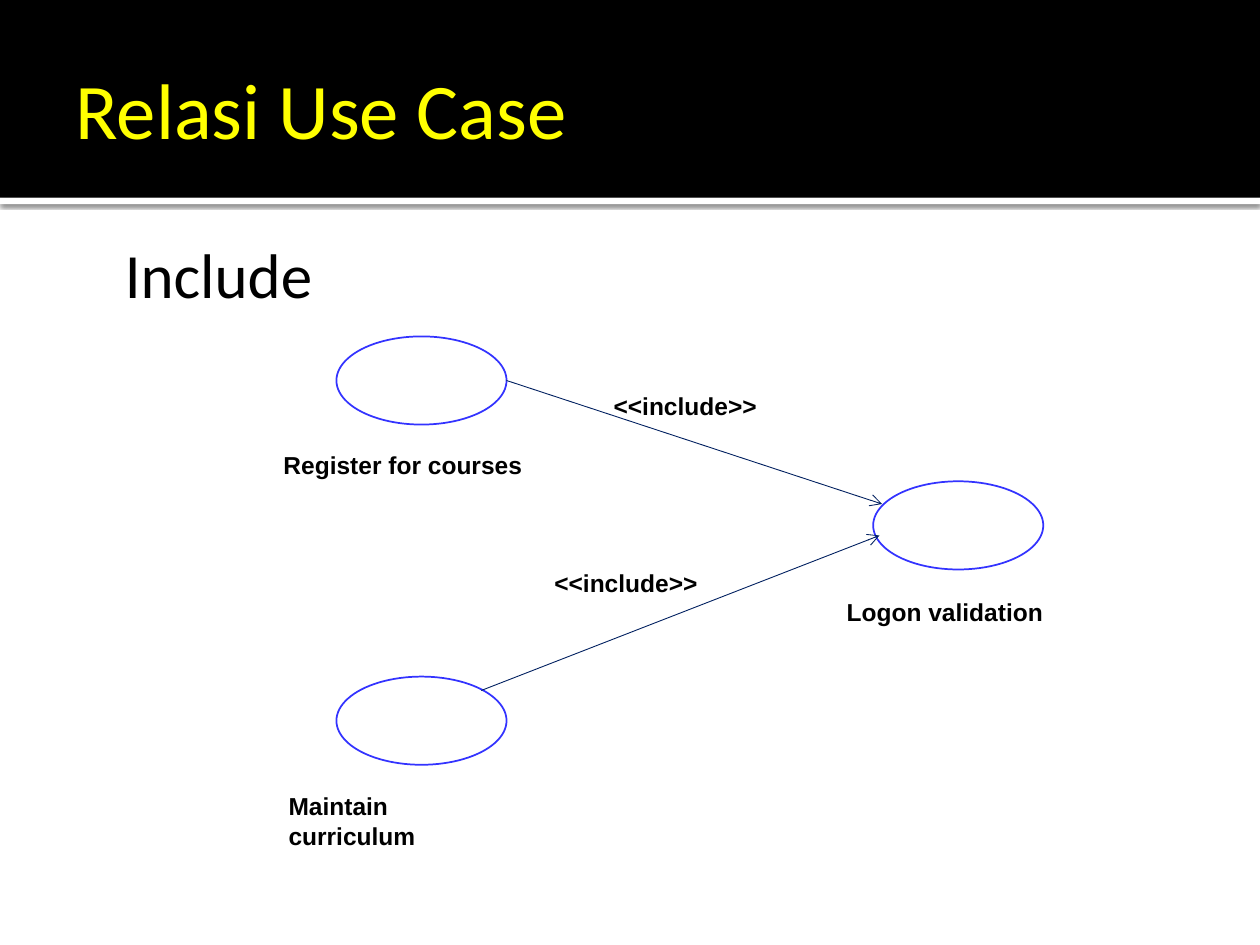
from dataclasses import dataclass

from lxml.etree import SubElement
from pptx import Presentation
from pptx.dml.color import RGBColor
from pptx.enum.shapes import MSO_CONNECTOR, MSO_SHAPE
from pptx.enum.text import MSO_ANCHOR, MSO_AUTO_SIZE, PP_ALIGN
from pptx.oxml import parse_xml
from pptx.oxml.ns import nsdecls, qn
from pptx.util import Inches, Pt


@dataclass(frozen=True)
class Theme:
    black: RGBColor = RGBColor(0x00, 0x00, 0x00)
    white: RGBColor = RGBColor(0xFF, 0xFF, 0xFF)
    title: RGBColor = RGBColor(0xFF, 0xFF, 0x00)
    outline: RGBColor = RGBColor(0x33, 0x33, 0xFF)
    arrow: RGBColor = RGBColor(0x00, 0x20, 0x60)
    heading_font: str = "Calibri"
    label_font: str = "Arial"
    title_size: int = 45
    body_size: int = 36
    label_size: int = 14


@dataclass(frozen=True)
class Label:
    text: str
    left: float
    top: float
    width: float
    wrap: bool = False


@dataclass(frozen=True)
class Arrow:
    start: tuple[float, float]
    end: tuple[float, float]


THEME = Theme()
OVAL_WIDTH, OVAL_HEIGHT = 1.35, 0.7
OVALS = [(2.67, 2.67), (6.93, 3.82), (2.67, 5.37)]
LABELS = [
    Label("Register for courses", 2.25, 3.57, 1.9),
    Label("<<include>>", 4.87, 3.1, 1.14),
    Label("Logon validation", 6.72, 4.74, 1.56),
    Label("<<include>>", 4.4, 4.51, 1.14),
    Label("Maintain curriculum", 2.29, 6.28, 1.84, wrap=True),
]
ARROWS = [Arrow((4.02, 3.02), (7, 4)), Arrow((3.82, 5.48), (6.98, 4.25))]
BAND_SHADOW = f"""<a:effectLst {nsdecls('a')}>
  <a:outerShdw blurRad="{Pt(2.5)}" dist="{Pt(0.8)}" dir="5400000" algn="tl" rotWithShape="0">
    <a:srgbClr val="000000"><a:alpha val="60000"/></a:srgbClr>
  </a:outerShdw>
</a:effectLst>"""


def place(box, left: float, top: float, width: float, height: float) -> None:
    box.left, box.top = Inches(left), Inches(top)
    box.width, box.height = Inches(width), Inches(height)


def add_span(para, text: str, font: str, size: int, color: RGBColor, bold: bool = False) -> None:
    span = para.add_run()
    span.text = text
    span.font.name = font
    span.font.size = Pt(size)
    span.font.bold = bold
    span.font.color.rgb = color


def add_band(page, top: float, height: float, color: RGBColor):
    """Add a full-width band behind the placeholders."""
    band = page.shapes.add_shape(
        MSO_SHAPE.RECTANGLE, 0, Inches(top), Inches(10), Inches(height))
    band.fill.solid()
    band.fill.fore_color.rgb = color
    band.line.fill.background()
    band.shadow.inherit = False
    page.shapes._spTree.insert(2, band._element)
    return band


def fill_title(page) -> None:
    title = page.shapes.title
    place(title, 0.5, 0.17, 9, 1.37)
    frame = title.text_frame
    frame.auto_size = MSO_AUTO_SIZE.NONE
    frame.vertical_anchor = MSO_ANCHOR.MIDDLE
    frame.margin_left = Inches(0.1)
    frame.margin_right = frame.margin_top = frame.margin_bottom = Inches(0.05)
    para = frame.paragraphs[0]
    para.alignment = PP_ALIGN.LEFT
    add_span(para, "Relasi Use Case", THEME.heading_font, THEME.title_size, THEME.title)


def fill_body(page) -> None:
    body = page.placeholders[1]
    place(body, 0.89, 1.82, 8.5, 4.5)
    body.text_frame.auto_size = MSO_AUTO_SIZE.NONE
    para = body.text_frame.paragraphs[0]
    para.alignment = PP_ALIGN.JUSTIFY
    properties = para._p.get_or_add_pPr()
    properties.set("marL", str(Inches(0.5)))
    properties.set("indent", str(Inches(-0.5)))
    SubElement(properties, qn("a:buNone"))
    add_span(para, "Include", THEME.heading_font, THEME.body_size, THEME.black)


def add_oval(page, left: float, top: float) -> None:
    oval = page.shapes.add_shape(
        MSO_SHAPE.OVAL, Inches(left), Inches(top), Inches(OVAL_WIDTH), Inches(OVAL_HEIGHT))
    oval.fill.background()
    oval.line.color.rgb = THEME.outline
    oval.line.width = Pt(1)
    oval.shadow.inherit = False


def add_label(page, label: Label) -> None:
    box = page.shapes.add_textbox(
        Inches(label.left), Inches(label.top), Inches(label.width), Inches(0.24))
    frame = box.text_frame
    frame.word_wrap = label.wrap
    frame.auto_size = MSO_AUTO_SIZE.SHAPE_TO_FIT_TEXT
    frame.margin_left = frame.margin_right = frame.margin_top = frame.margin_bottom = 0
    add_span(frame.paragraphs[0], label.text, THEME.label_font,
             THEME.label_size, THEME.black, bold=True)


def add_arrow(page, arrow: Arrow) -> None:
    line = page.shapes.add_connector(
        MSO_CONNECTOR.STRAIGHT, *map(Inches, arrow.start + arrow.end))
    line.line.color.rgb = THEME.arrow
    line.line.width = Pt(0.5)
    SubElement(line.line._get_or_add_ln(), qn("a:tailEnd"), type="arrow")
    SubElement(line._element.spPr, qn("a:effectLst"))


def main() -> None:
    deck = Presentation()
    deck.slide_width, deck.slide_height = Inches(10), Inches(7.5)
    page = deck.slides.add_slide(deck.slide_layouts[1])
    page.background.fill.solid()
    page.background.fill.fore_color.rgb = THEME.white

    add_band(page, 0, 1.57, THEME.black)
    rule = add_band(page, 1.57, 0.05, THEME.white)
    properties = rule._element.spPr
    properties.replace(properties.find(qn("a:effectLst")), parse_xml(BAND_SHADOW))

    fill_title(page)
    fill_body(page)
    for left, top in OVALS:
        add_oval(page, left, top)
    for label in LABELS:
        add_label(page, label)
    for arrow in ARROWS:
        add_arrow(page, arrow)
    deck.save("out.pptx")


if __name__ == "__main__":
    main()
